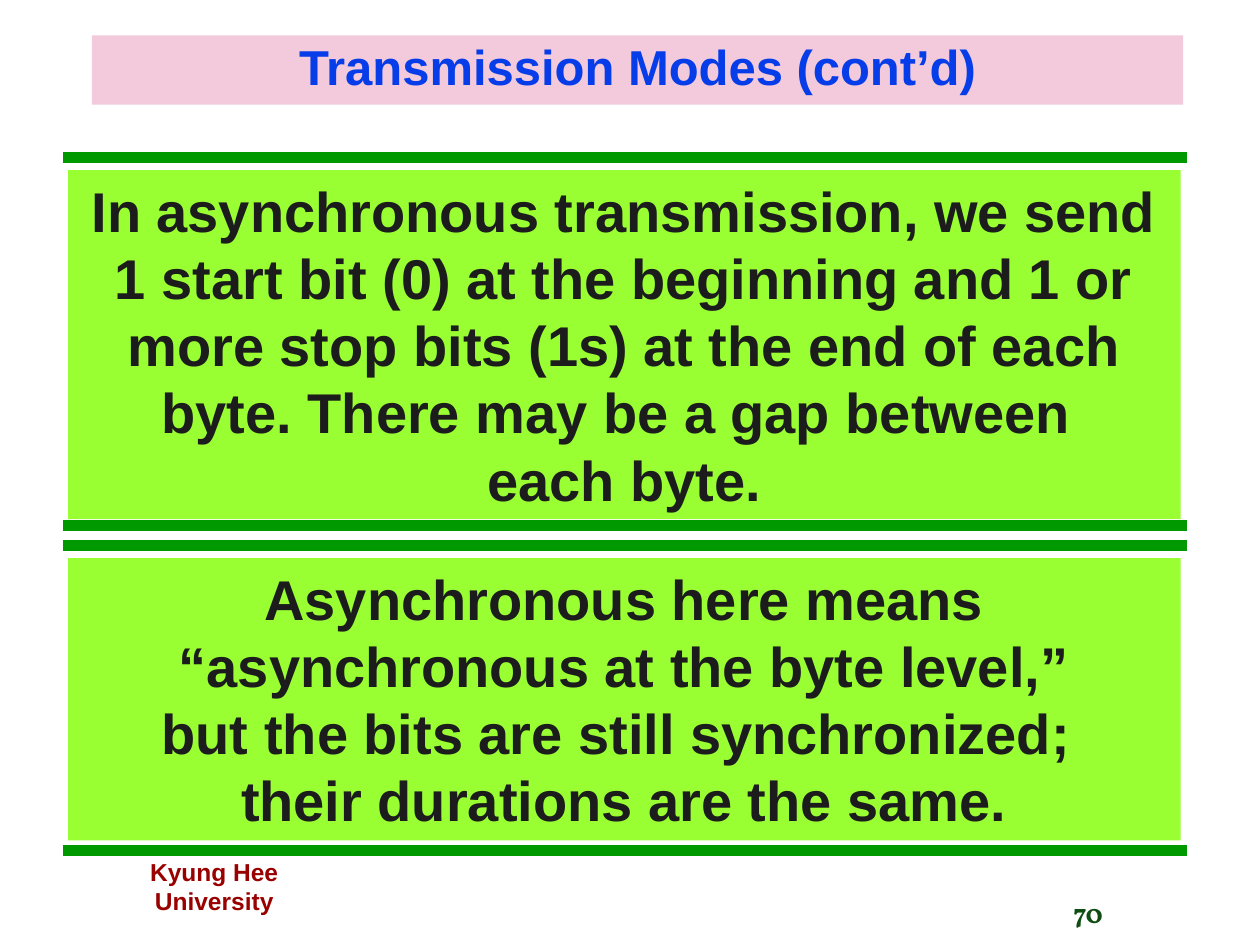
from pptx import Presentation
from pptx.dml.color import RGBColor
from pptx.enum.shapes import MSO_CONNECTOR as Connector, MSO_SHAPE as Preset
from pptx.enum.text import MSO_ANCHOR as Anchor, PP_ALIGN as Align
from pptx.oxml.ns import qn
from pptx.util import Inches, Pt
from lxml.etree import SubElement

RULE_LEFT, RULE_RIGHT = 0.5, 9.42
PANEL_LEFT, PANEL_WIDTH = 0.54, 8.83
PANELS = [
    (1.25, 4.17, 2.77,
     "In asynchronous transmission, we send 1 start bit (0) at the beginning "
     "and 1 or more stop bits (1s) at the end of each byte. "
     "There may be a gap between \veach byte."),
    (4.33, 6.75, 2.24,
     "Asynchronous here means “asynchronous at the byte level,”\n"
     "but the bits are still synchronized; \vtheir durations are the same."),
]


def color(value):
    """Turn a hex string into a colour."""
    return RGBColor.from_string(value)


def write(shape, text, size, ink, font="Arial", align=Align.CENTER,
          anchor=Anchor.TOP, spacing=None):
    """Fill a shape with bold text in one style."""
    text_frame = shape.text_frame
    text_frame.word_wrap = True
    text_frame.vertical_anchor = anchor
    text_frame.text = text
    for paragraph in text_frame.paragraphs:
        paragraph.alignment = align
        paragraph.line_spacing = spacing
        for run in paragraph.runs:
            run.font.name = font
            run.font.size = Pt(size)
            run.font.bold = True
            run.font.color.rgb = color(ink)


def add_label(slide, box, text, size, ink, **style):
    """Add a text box."""
    shape = slide.shapes.add_textbox(*map(Inches, box))
    write(shape, text, size, ink, **style)


def add_block(slide, box, fill, text, size, ink, **style):
    """Add a filled rectangle without outline that holds text."""
    shape = slide.shapes.add_shape(Preset.RECTANGLE, *map(Inches, box))
    shape.shadow.inherit = False
    shape.fill.solid()
    shape.fill.fore_color.rgb = color(fill)
    shape.line.fill.background()
    write(shape, text, size, ink, **style)


def add_rule(slide, y):
    """Add a thick green horizontal line."""
    rule = slide.shapes.add_connector(
        Connector.STRAIGHT, *map(Inches, (RULE_LEFT, y, RULE_RIGHT, y)))
    rule.line.color.rgb = color("009900")
    rule.line.width = Pt(6)
    SubElement(rule._element.spPr, qn("a:effectLst"))


def add_panel(slide, top, bottom, height, text):
    """Add a green statement between two rules."""
    add_rule(slide, top)
    add_rule(slide, bottom)
    add_block(slide, (PANEL_LEFT, top + 0.1, PANEL_WIDTH, height),
              "99FF33", text, 32, "1C1C1C")


def main():
    """Build and save the slide."""
    presentation = Presentation()
    presentation.slide_width, presentation.slide_height = Inches(10), Inches(7.5)
    slide = presentation.slides.add_slide(presentation.slide_layouts[6])
    add_label(slide, (8.42, 7.06, 1.38, 0.42), "70", 16, "0F4D13",
              font="Vollkorn", align=Align.LEFT)
    add_label(slide, (0.69, 6.75, 2.02, 0.57), "Kyung Hee University", 14, "990000")
    add_block(slide, (0.73, 0.28, 8.66, 0.55), "F2CADC",
              "Transmission Modes (cont’d)", 28, "063DE8",
              anchor=Anchor.MIDDLE, spacing=0.9)
    for panel in PANELS:
        add_panel(slide, *panel)
    presentation.save("out.pptx")


if __name__ == "__main__":
    main()
